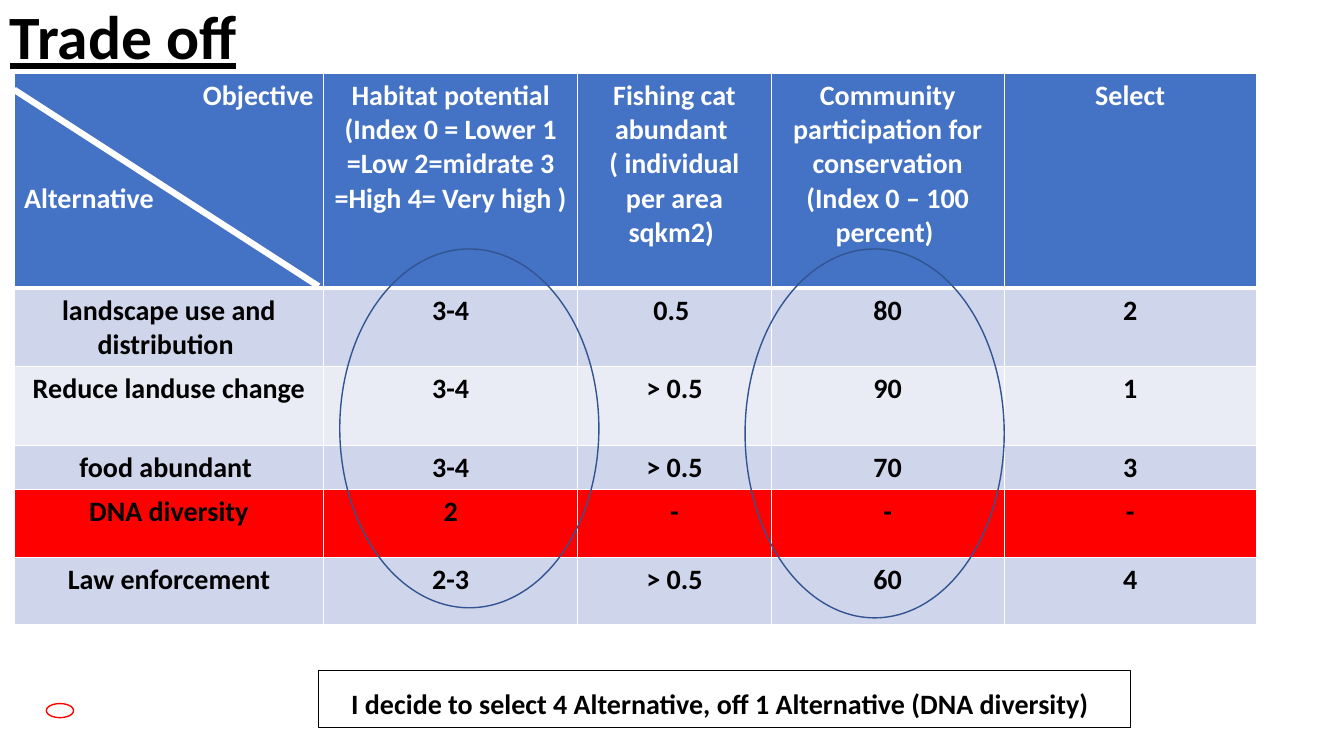
from dataclasses import dataclass

from lxml.etree import SubElement
from pptx import Presentation
from pptx.dml.color import RGBColor
from pptx.enum.shapes import MSO_CONNECTOR, MSO_SHAPE
from pptx.enum.text import MSO_ANCHOR, MSO_AUTO_SIZE, PP_ALIGN
from pptx.oxml.ns import qn
from pptx.util import Emu, Pt

EMU_PER_PX = 9144  # 100 px to the inch


@dataclass(frozen=True)
class Theme:
    font: str = "Calibri"
    title: int = 44
    body: int = 20
    tail: int = 28
    black: str = "000000"
    white: str = "FFFFFF"
    header: str = "4472C4"
    band_dark: str = "CFD5EA"
    band_light: str = "E9EBF5"
    rejected: str = "FF0000"
    ring: str = "325491"


T = Theme()

COLUMNS = [307, 252, 192, 231, 250]
ROWS = [213, 78, 78, 44, 67, 67]
HEADER = [
    ["Objective", "Alternative"],
    ["Habitat potential",
     "(Index 0 = Lower 1 =Low 2=midrate 3 =High 4= Very high ) "],
    ["Fishing cat abundant ", "( individual per area sqkm2) "],
    ["Community participation for conservation", "(Index 0 – 100 percent) "],
    ["Select"],
]
ALTERNATIVES = [
    ["landscape use and distribution ", "3-4", "0.5 ", "80", "2"],
    ["Reduce landuse change", "3-4", "> 0.5", "90", "1"],
    ["food abundant ", "3-4", "> 0.5", "70", "3"],
    ["DNA diversity", "2", "-", "-", "-"],
    ["Law enforcement", "2-3", "> 0.5", "60", "4"],
]
REJECTED_ROW = 4


def px(n):
    return Emu(n * EMU_PER_PX)


def rgb(value):
    return RGBColor.from_string(value)


def add_run(p, text, size, color=T.black, underline=False):
    r = p.add_run()
    r.text = text
    f = r.font
    f.name, f.size, f.bold = T.font, Pt(size), True
    f.color.rgb = rgb(color)
    if underline:
        f.underline = True


def add_title(s, text, box):
    tf = s.shapes.add_textbox(*map(px, box)).text_frame
    tf.word_wrap = True
    tf.vertical_anchor = MSO_ANCHOR.MIDDLE
    p = tf.paragraphs[0]
    p.line_spacing = 0.9
    add_run(p, text, T.title, underline=True)


def set_borders(cell, bottom):
    tcPr = cell._tc.get_or_add_tcPr()
    for tag, width in (("lnL", 1), ("lnR", 1), ("lnT", 1), ("lnB", bottom)):
        ln = SubElement(tcPr, qn(f"a:{tag}"), w=str(Pt(width)))
        fill = SubElement(ln, qn("a:solidFill"))
        SubElement(fill, qn("a:srgbClr"), val=T.white)


def fill_cell(cell, lines, fill, color, bottom=1):
    set_borders(cell, bottom)
    cell.fill.solid()
    cell.fill.fore_color.rgb = rgb(fill)
    tf = cell.text_frame
    for i, line in enumerate(lines):
        p = tf.add_paragraph() if i else tf.paragraphs[0]
        p.alignment = PP_ALIGN.CENTER
        add_run(p, line, T.body, color)


def row_fill(row):
    if row == REJECTED_ROW:
        return T.rejected
    return T.band_dark if row % 2 else T.band_light


def add_tradeoff_table(s, left, top):
    table = s.shapes.add_table(len(ROWS), len(COLUMNS), px(left), px(top),
                               px(sum(COLUMNS)), px(sum(ROWS))).table
    table.first_row = table.horz_banding = False
    for column, width in zip(table.columns, COLUMNS):
        column.width = px(width)
    for row, height in zip(table.rows, ROWS):
        row.height = px(height)

    for c, lines in enumerate(HEADER):
        fill_cell(table.cell(0, c), lines, T.header, T.white, bottom=3)
    for i, values in enumerate(ALTERNATIVES, start=1):
        for c, value in enumerate(values):
            fill_cell(table.cell(i, c), [value], row_fill(i), T.black)

    # Corner cell: objective top right, alternative lower left
    objective, alternative = table.cell(0, 0).text_frame.paragraphs
    objective.alignment = PP_ALIGN.RIGHT
    alternative.alignment = PP_ALIGN.LEFT
    alternative.space_before = Pt(49)


def add_line(s, start, end, color, width):
    line = s.shapes.add_connector(MSO_CONNECTOR.STRAIGHT,
                                  *map(px, start + end))
    line.line.color.rgb = rgb(color)
    line.line.width = Pt(width)
    SubElement(line._element.spPr, qn("a:effectLst"))


def add_outline(s, kind, box, color, width=1):
    sp = s.shapes.add_shape(kind, *map(px, box))
    sp.shadow.inherit = False
    sp.fill.background()
    sp.line.color.rgb = rgb(color)
    sp.line.width = Pt(width)
    return sp


def add_decision(s, text, box):
    sp = add_outline(s, MSO_SHAPE.RECTANGLE, box, T.black, 0.75)
    tf = sp.text_frame
    tf.word_wrap = True
    tf.auto_size = MSO_AUTO_SIZE.SHAPE_TO_FIT_TEXT
    tf.vertical_anchor = MSO_ANCHOR.TOP
    p = tf.paragraphs[0]
    p.alignment = PP_ALIGN.CENTER
    add_run(p, text, T.body)
    add_run(p, " ", T.tail)


def main():
    prs = Presentation()
    prs.slide_width, prs.slide_height = px(1333), px(750)
    s = prs.slides.add_slide(prs.slide_layouts[6])

    # Title and table
    add_title(s, "Trade off", (0, -33, 443, 145))
    add_tradeoff_table(s, 14, 73)
    add_line(s, (14, 89), (316, 284), T.white, 4.5)

    # Rings
    add_outline(s, MSO_SHAPE.OVAL, (46, 698, 27, 14), T.rejected)
    add_outline(s, MSO_SHAPE.OVAL, (337, 247, 257, 356), T.ring)
    add_outline(s, MSO_SHAPE.OVAL, (739, 247, 257, 366), T.ring)

    # Decision
    add_decision(
        s, "I decide to select 4 Alternative, off 1 Alternative (DNA diversity)",
        (316, 665, 805, 57))

    prs.save("out.pptx")


if __name__ == "__main__":
    main()
